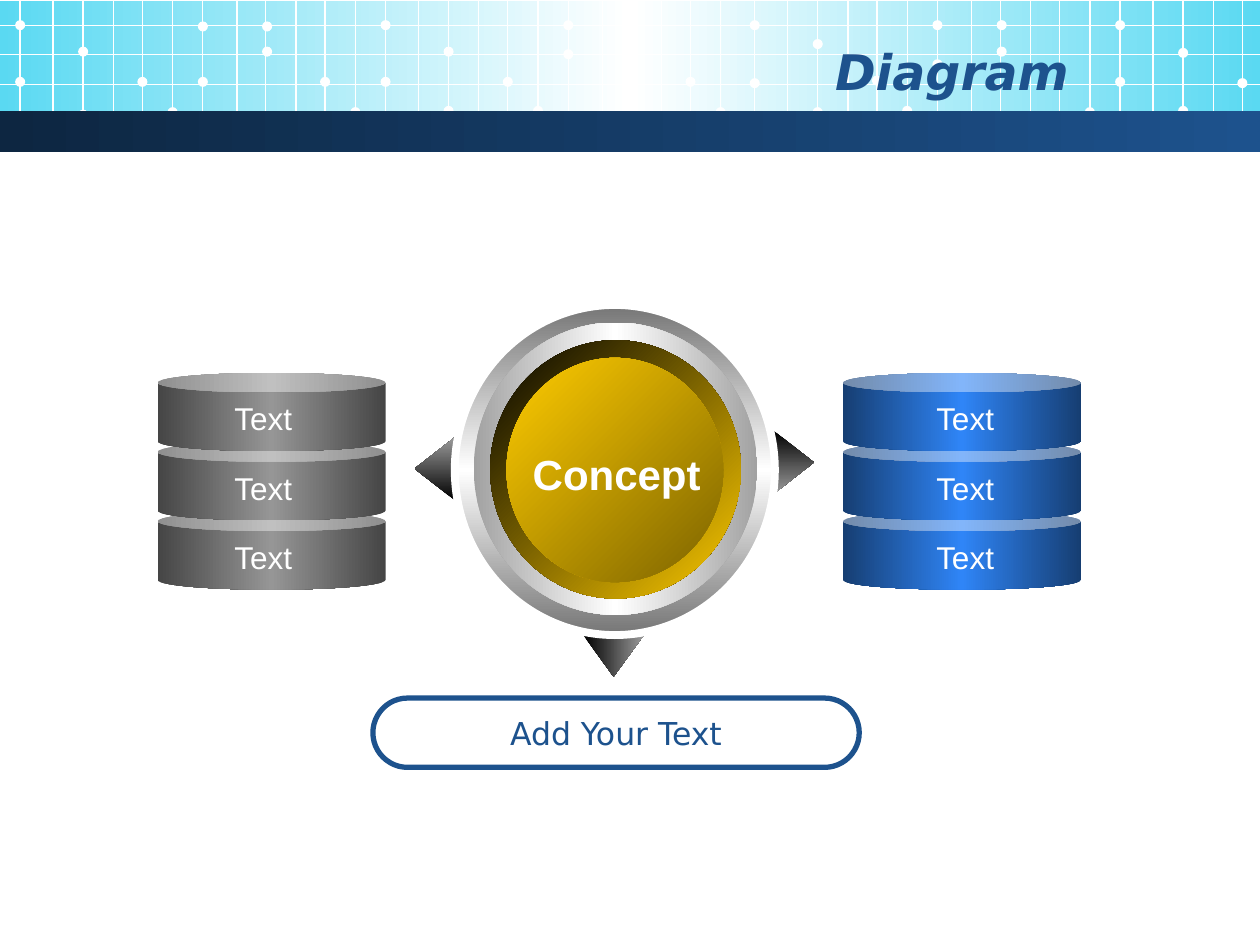
from dataclasses import dataclass

from lxml import etree
from pptx import Presentation
from pptx.dml.color import RGBColor
from pptx.enum.shapes import MSO_CONNECTOR, MSO_SHAPE
from pptx.enum.text import MSO_ANCHOR, MSO_AUTO_SIZE, PP_ALIGN
from pptx.oxml.ns import qn
from pptx.util import Inches, Pt

RECTANGLE, ELLIPSE, CAN = MSO_SHAPE.RECTANGLE, MSO_SHAPE.OVAL, MSO_SHAPE.CAN
ROUNDED = MSO_SHAPE.ROUNDED_RECTANGLE
LEFT_ARROW, RIGHT_ARROW = MSO_SHAPE.LEFT_ARROW, MSO_SHAPE.RIGHT_ARROW
DOWN_ARROW = MSO_SHAPE.DOWN_ARROW
STRAIGHT = MSO_CONNECTOR.STRAIGHT
TOP, MIDDLE = MSO_ANCHOR.TOP, MSO_ANCHOR.MIDDLE
CENTER, RIGHT = PP_ALIGN.CENTER, PP_ALIGN.RIGHT

Box = tuple[float, float, float, float]


@dataclass(frozen=True)
class Theme:
    white: str = "FFFFFF"
    navy: str = "1D528D"
    sky: tuple = ("5AD9F2", "FFFFFF", "5AD9F2")
    bar: tuple = ("0D2641", "1D528D")
    arrow: tuple = ("000000", "9B9B9B")
    rim: tuple = ("767676", "FFFFFF", "767676")
    bezel: tuple = ("A2A2A2", "FFFFFF", "A2A2A2")
    groove: tuple = ("000000", "FFCC00")
    gold: tuple = ("FFCC00", "7C6300")
    gray: tuple = ("454545", "969696", "454545")
    blue: tuple = ("163E72", "2F85F7", "163E72")
    heading_font: str = "DejaVu Sans"
    body_font: str = "Arial"
    title_size: int = 28
    concept_size: int = 24
    label_size: int = 18


THEME = Theme()


@dataclass(frozen=True)
class Part:
    kind: int
    box: Box
    colors: tuple
    angle: int = 0  # clockwise degrees
    adjustments: tuple = ()


@dataclass(frozen=True)
class Stack:
    left: float
    width: float
    label_center: float
    colors: tuple


# Header grid: one tile of columns and dots, repeated across the slide
TILE_STARTS = (0.16, 3.06, 5.99, 8.89)
COLUMN_OFFSETS = (0, 0.26, 0.5, 0.74, 0.97, 1.21, 1.45, 1.72, 1.95, 2.19, 2.42, 2.66)
ROW_TOPS = (0.2, 0.43, 0.67)
DOT_OFFSETS = (0, 0, 0.5, 0.5, 0.97, 1.21, 1.45, 1.45, 1.96, 1.96, 2.42, 2.66)
DOT_HEIGHTS = (
    (0.65, 0.2, 0.41, 0.91, 0.65, 0.89, 0.65, 0.21, 0.41, 0.21, 0.65, 0.89),
    (0.65, 0.2, 0.41, 0.88, 0.65, 0.88, 0.43, 0.2, 0.42, 0.2, 0.65, 0.89),
    (0.66, 0.2, 0.35, 0.89, 0.64, 0.88, 0.51, 0.2, 0.41, 0.2, 0.65, 0.89),
    (0.65, 0.2, 0.42, 0.88, 0.66),
)
DOT_SIZE = 0.08

HEADER = Part(RECTANGLE, (0, 0.01, 10, 1.02), THEME.sky)
BAR = Part(RECTANGLE, (0, 0.88, 10, 0.33), THEME.bar)
ARROW_HEAD = (0.52, 1)
ARROWS = (
    Part(LEFT_ARROW, (3.29, 3.47, 0.32, 0.5), THEME.arrow, 270, ARROW_HEAD),
    Part(RIGHT_ARROW, (6.14, 3.42, 0.32, 0.5), THEME.arrow, 90, ARROW_HEAD),
    Part(DOWN_ARROW, (4.63, 5.04, 0.48, 0.33), THEME.arrow, 0, ARROW_HEAD),
)
RIM = Part(ELLIPSE, (3.61, 2.42, 2.54, 2.62), THEME.rim, 90)
DIAL = (
    Part(ELLIPSE, (3.76, 2.56, 2.25, 2.32), THEME.bezel),
    Part(ELLIPSE, (3.89, 2.7, 1.99, 2.05), THEME.groove, 45),
    Part(ELLIPSE, (4.02, 2.84, 1.72, 1.78), THEME.gold, 45),
)
STACKS = (
    Stack(1.25, 1.81, 2.09, THEME.gray),
    Stack(6.69, 1.89, 7.66, THEME.blue),
)
CAN_TOP, CAN_HEIGHT, CAN_STEP, CAN_COUNT = 2.96, 0.62, 0.55, 3
LABEL_TOP, LABEL_WIDTH, LABEL_HEIGHT = 3.12, 0.68, 0.4


def color(value: str) -> RGBColor:
    return RGBColor.from_string(value)


def apply_gradient(shape, colors: tuple, angle: int) -> None:
    shape.fill.gradient()
    gradient = shape.element.spPr.find(qn("a:gradFill"))
    stops = gradient.find(qn("a:gsLst"))
    for stop in list(stops):
        stops.remove(stop)
    for index, value in enumerate(colors):
        position = str(100000 * index // (len(colors) - 1))
        stop = etree.SubElement(stops, qn("a:gs"), pos=position)
        etree.SubElement(stop, qn("a:srgbClr"), val=value)
    gradient.find(qn("a:lin")).set("ang", str(angle * 60000))


def add_part(slide, part: Part):
    shape = slide.shapes.add_shape(part.kind, *map(Inches, part.box))
    shape.shadow.inherit = False
    shape.line.fill.background()
    for index, value in enumerate(part.adjustments):
        shape.adjustments[index] = value
    if len(part.colors) == 1:
        shape.fill.solid()
        shape.fill.fore_color.rgb = color(part.colors[0])
    else:
        apply_gradient(shape, part.colors, part.angle)
    return shape


def set_outline(shape, value: str, width: float) -> None:
    shape.line.color.rgb = color(value)
    shape.line.width = Pt(width)


def add_grid_line(slide, start: tuple, end: tuple) -> None:
    line = slide.shapes.add_connector(STRAIGHT, *map(Inches, start + end))
    set_outline(line, THEME.white, 0.75)
    etree.SubElement(line.element.spPr, qn("a:effectLst"))


def write_text(shape, text: str, value: str, alignment=CENTER, anchor=TOP,
               wrap: bool = False, **font_format) -> None:
    frame = shape.text_frame
    frame.word_wrap = wrap
    frame.auto_size = MSO_AUTO_SIZE.NONE
    frame.vertical_anchor = anchor
    paragraph = frame.paragraphs[0]
    paragraph.alignment = alignment
    run = paragraph.add_run()
    run.text = text
    run.font.color.rgb = color(value)
    for name, setting in font_format.items():
        setattr(run.font, name, setting)


def add_text(slide, box: Box, text: str, value: str, **text_format) -> None:
    text_box = slide.shapes.add_textbox(*map(Inches, box))
    write_text(text_box, text, value, **text_format)


def draw_header(slide) -> None:
    add_part(slide, HEADER)
    for start, heights in zip(TILE_STARTS, DOT_HEIGHTS):
        for offset in COLUMN_OFFSETS:
            if start + offset < 10:
                add_grid_line(slide, (start + offset, 0), (start + offset, 1.1))
        for offset, height in zip(DOT_OFFSETS, heights):
            corner = (start + offset - DOT_SIZE / 2, height - DOT_SIZE / 2)
            add_part(slide, Part(ELLIPSE, (*corner, DOT_SIZE, DOT_SIZE), (THEME.white,)))
    for top in ROW_TOPS:
        add_grid_line(slide, (0, top), (10, top))
    add_part(slide, BAR)
    add_text(slide, (0.5, 0.25, 8.08, 0.62), "Diagram", THEME.navy,
             alignment=RIGHT, anchor=MIDDLE, wrap=True, name=THEME.heading_font,
             size=Pt(THEME.title_size), bold=True, italic=True)


def draw_dial(slide) -> None:
    for arrow in ARROWS:
        add_part(slide, arrow)
    set_outline(add_part(slide, RIM), THEME.white, 4.5)
    for ring in DIAL:
        add_part(slide, ring)
    add_text(slide, (4.13, 3.51, 1.53, 0.5), "Concept", THEME.white,
             name=THEME.body_font, size=Pt(THEME.concept_size), bold=True)


def draw_stack(slide, stack: Stack) -> None:
    # Bottom can first, so each one overlaps the can below
    for level in reversed(range(CAN_COUNT)):
        drop = level * CAN_STEP
        box = (stack.left, CAN_TOP + drop, stack.width, CAN_HEIGHT)
        add_part(slide, Part(CAN, box, stack.colors, 0, (0.25,)))
        left = stack.label_center - LABEL_WIDTH / 2
        add_text(slide, (left, LABEL_TOP + drop, LABEL_WIDTH, LABEL_HEIGHT), "Text",
                 THEME.white, name=THEME.body_font, size=Pt(THEME.label_size))


def draw_caption(slide) -> None:
    box = (2.96, 5.54, 3.86, 0.55)
    caption = add_part(slide, Part(ROUNDED, box, (THEME.white,), 0, (0.5,)))
    set_outline(caption, THEME.navy, 3)
    write_text(caption, "Add Your Text", THEME.navy, anchor=MIDDLE,
               name=THEME.heading_font, size=Pt(THEME.label_size))


def main() -> None:
    presentation = Presentation()
    presentation.slide_width, presentation.slide_height = Inches(10), Inches(7.5)
    slide = presentation.slides.add_slide(presentation.slide_layouts[6])
    draw_header(slide)
    draw_dial(slide)
    for stack in STACKS:
        draw_stack(slide, stack)
    draw_caption(slide)
    presentation.save("out.pptx")


if __name__ == "__main__":
    main()
